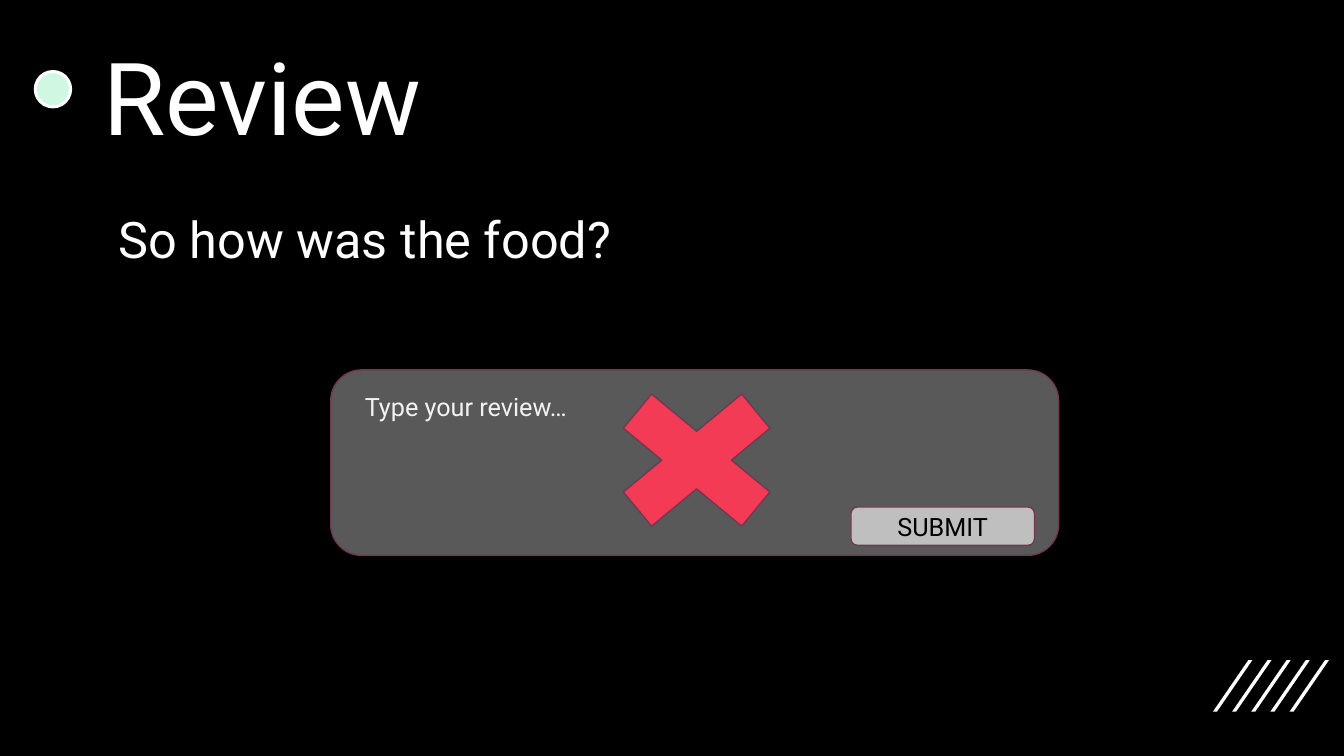
from pptx import Presentation
from pptx.dml.color import RGBColor
from pptx.enum import shapes, text
from pptx.util import Inches, Pt

WHITE = "FFFFFF"
PLUM = "703853"


def paint(shape, fill, line=None, width=1):
    """Give a shape a flat fill and an optional outline, without shadow."""
    shape.shadow.inherit = False
    shape.fill.solid()
    shape.fill.fore_color.rgb = RGBColor.from_string(fill)
    if line:
        shape.line.color.rgb = RGBColor.from_string(line)
        shape.line.width = Pt(width)
    else:
        shape.line.fill.background()


def write(shape, words, size, color, align=text.PP_ALIGN.LEFT):
    shape.text_frame.word_wrap = True
    paragraph = shape.text_frame.paragraphs[0]
    paragraph.alignment = align
    run = paragraph.add_run()
    run.text = words
    run.font.name = "Roboto"
    run.font.size = Pt(size)
    run.font.color.rgb = RGBColor.from_string(color)


prs = Presentation()
prs.slide_width = Inches(13.33)
prs.slide_height = Inches(7.5)
slide = prs.slides.add_slide(prs.slide_layouts[6])
slide.background.fill.solid()
slide.background.fill.fore_color.rgb = RGBColor.from_string("000000")
canvas = slide.shapes

# Slanted strokes in the lower right corner
for i in range(5):
    left = 12.03 + 0.19 * i
    outline = [(left, 7.06), (left + 0.35, 6.55), (left + 0.39, 6.55), (left + 0.04, 7.06)]
    points = [(Inches(x), Inches(y)) for x, y in outline]
    stroke = canvas.build_freeform(*points[0])
    stroke.add_line_segments(points[1:], close=True)
    paint(stroke.convert_to_shape(), WHITE)

# Heading and question
dot = canvas.add_shape(shapes.MSO_SHAPE.OVAL, Inches(0.35), Inches(0.71), Inches(0.35), Inches(0.35))
paint(dot, "CFF7E1", WHITE, 2.25)

heading = canvas.add_textbox(Inches(0.93), Inches(0.29), Inches(8.87), Inches(1.31))
write(heading, "Review", 72, WHITE)

question = canvas.add_textbox(Inches(1.08), Inches(2.02), Inches(10.69), Inches(0.71))
write(question, "So how was the food?", 36, WHITE, text.PP_ALIGN.JUSTIFY)

# Review form, crossed out
form = canvas.add_shape(shapes.MSO_SHAPE.ROUNDED_RECTANGLE, Inches(3.28), Inches(3.67), Inches(7.22), Inches(1.84))
paint(form, "595959", PLUM)

prompt = canvas.add_textbox(Inches(3.52), Inches(3.83), Inches(4.6), Inches(0.4))
write(prompt, "Type your review…", 18, "F2F2F2")

submit = canvas.add_shape(shapes.MSO_SHAPE.ROUNDED_RECTANGLE, Inches(8.44), Inches(5.03), Inches(1.82), Inches(0.38))
paint(submit, "BFBFBF", PLUM)
submit.text_frame.vertical_anchor = text.MSO_ANCHOR.MIDDLE
write(submit, "SUBMIT", 18, "000000", text.PP_ALIGN.CENTER)

cross = canvas.add_shape(shapes.MSO_SHAPE.MATH_MULTIPLY, Inches(5.78), Inches(3.63), Inches(2.26), Inches(1.87))
paint(cross, "F43B56", PLUM)

prs.save("out.pptx")
